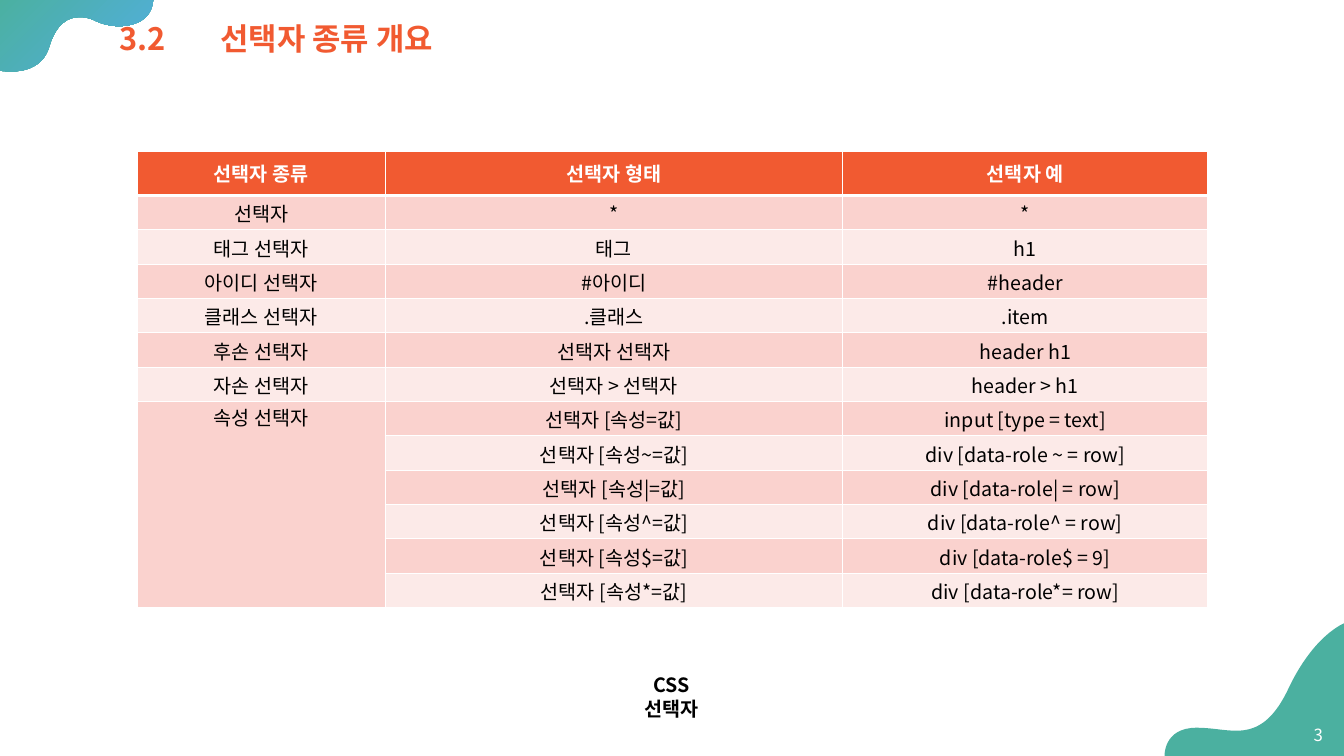
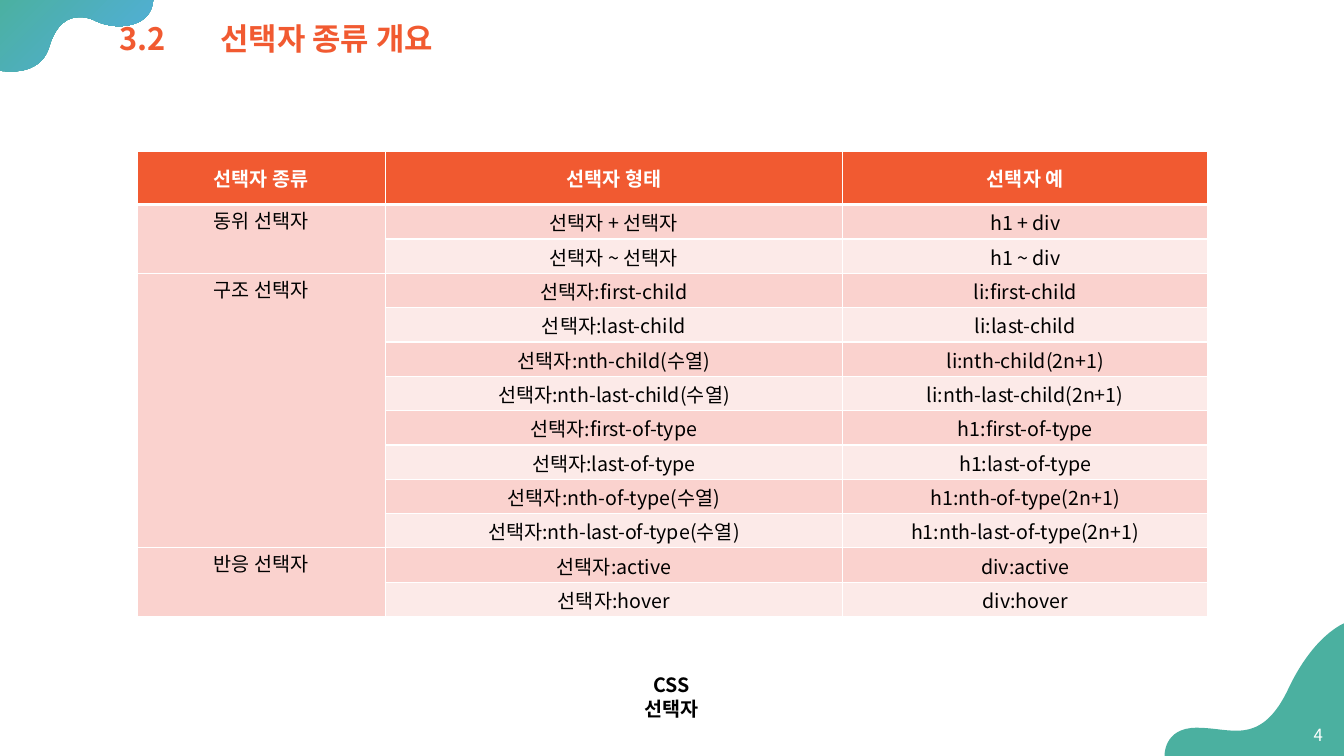
from lxml import etree
from pptx import Presentation
from pptx.dml.color import RGBColor
from pptx.enum.text import MSO_ANCHOR, PP_ALIGN
from pptx.oxml.ns import qn
from pptx.util import Inches, Pt

LEFT, CENTER, RIGHT = PP_ALIGN.LEFT, PP_ALIGN.CENTER, PP_ALIGN.RIGHT
TOP, MIDDLE = MSO_ANCHOR.TOP, MSO_ANCHOR.MIDDLE

ORANGE = RGBColor(0xF1, 0x5A, 0x31)
TEAL = RGBColor(0x4B, 0xB0, 0xA0)
SKY = RGBColor(0x52, 0xAE, 0xE1)
WHITE = RGBColor(0xFF, 0xFF, 0xFF)
BLACK = RGBColor(0, 0, 0)
STRIPES = (RGBColor(0xFA, 0xD2, 0xCE), RGBColor(0xFC, 0xEA, 0xE8))

FONT = "Noto Sans CJK KR"
BODY_MARGINS = (0.01, 0.01, 0.01, 0)
COLUMN_WIDTHS = (2.46, 4.54, 3.62)
BODY_HEIGHT = 4.09
HEADINGS = ("선택자 종류", "선택자 형태", "선택자 예")

CORNER_WAVE = (
    (1.53, 0), (0, 0), (0, 0.72),
    (0, 0.72, 0.05, 0.73, 0.12, 0.73),
    (0.25, 0.73, 0.44, 0.69, 0.5, 0.48),
    (0.57, 0.25, 0.69, 0.19, 0.8, 0.19),
    (0.85, 0.19, 0.9, 0.2, 0.94, 0.22),
    (1.02, 0.26, 1.11, 0.28, 1.19, 0.28),
    (1.38, 0.28, 1.53, 0.19, 1.53, 0),
)
FOOTER_WAVE = (
    (1.79, 0),
    (1.79, 0, 1.48, 0.11, 1.22, 0.67),
    (1.06, 1, 0.89, 1.07, 0.71, 1.07),
    (0.59, 1.07, 0.46, 1.04, 0.32, 1.04),
    (-0.02, 1.04, 0, 1.33, 0, 1.33),
    (1.79, 1.33), (1.79, 0),
)

BASIC_SELECTORS = (
    ("선택자", [("*", "*")]),
    ("태그 선택자", [("태그", "h1")]),
    ("아이디 선택자", [("#아이디", "#header")]),
    ("클래스 선택자", [(".클래스", ".item")]),
    ("후손 선택자", [("선택자 선택자", "header h1")]),
    ("자손 선택자", [("선택자 > 선택자", "header > h1")]),
    ("속성 선택자", [
        ("선택자 [속성=값]", "input [type = text]"),
        ("선택자 [속성~=값]", "div [data-role ~ = row]"),
        ("선택자 [속성|=값]", "div [data-role| = row]"),
        ("선택자 [속성^=값]", "div [data-role^ = row]"),
        ("선택자 [속성$=값]", "div [data-role$ = 9]"),
        ("선택자 [속성*=값]", "div [data-role*= row]"),
    ]),
)
RELATION_SELECTORS = (
    ("동위 선택자", [("선택자 + 선택자", "h1 + div"), ("선택자 ~ 선택자", "h1 ~ div")]),
    ("구조 선택자", [
        ("선택자:first-child", "li:first-child"),
        ("선택자:last-child", "li:last-child"),
        ("선택자:nth-child(수열)", "li:nth-child(2n+1)"),
        ("선택자:nth-last-child(수열)", "li:nth-last-child(2n+1)"),
        ("선택자:first-of-type", "h1:first-of-type"),
        ("선택자:last-of-type", "h1:last-of-type"),
        ("선택자:nth-of-type(수열)", "h1:nth-of-type(2n+1)"),
        ("선택자:nth-last-of-type(수열)", "h1:nth-last-of-type(2n+1)"),
    ]),
    ("반응 선택자", [("선택자:active", "div:active"), ("선택자:hover", "div:hover")]),
)


def write(frame, text, size=14, color=BLACK, bold=False, align=CENTER,
          spacing=None, tab=None):
    para = frame.paragraphs[0]
    para.alignment = align
    if spacing:
        para.line_spacing = spacing
    if tab:
        stops = etree.SubElement(para._p.get_or_add_pPr(), qn("a:tabLst"))
        etree.SubElement(stops, qn("a:tab"), pos=str(Inches(tab)), algn="l")
    span = para.add_run()
    span.text = text
    font = span.font
    font.size, font.bold, font.name = Pt(size), bold, FONT
    font.color.rgb = color
    etree.SubElement(font._element, qn("a:ea"), typeface=FONT)


def add_text(page, box, text, anchor=MIDDLE, **style):
    frame = page.shapes.add_textbox(*map(Inches, box)).text_frame
    frame.word_wrap = True
    frame.vertical_anchor = anchor
    write(frame, text, **style)


def add_wave(page, left, top, outline):
    corners = [(Inches(left + segment[-2]), Inches(top + segment[-1])) for segment in outline]
    builder = page.shapes.build_freeform(*corners[0])
    builder.add_line_segments(corners[1:], close=True)
    wave = builder.convert_to_shape()
    lines = list(wave._element.iter(qn("a:lnTo")))
    for line, segment in zip(lines, outline[1:]):
        if len(segment) == 6:
            line.tag = qn("a:cubicBezTo")
            controls = [
                etree.Element(qn("a:pt"), x=str(Inches(x)), y=str(Inches(y)))
                for x, y in (segment[:2], segment[2:4])
            ]
            line[:0] = controls
    wave.shadow.inherit = False
    wave.line.fill.background()
    return wave


def add_frame(page, number):
    corner = add_wave(page, -0.01, -0.02, CORNER_WAVE)
    corner.fill.gradient()
    corner.fill.gradient_angle = 315
    for stop, color, position in zip(corner.fill.gradient_stops, (TEAL, SKY), (0, 1)):
        stop.color.rgb = color
        stop.position = position
    footer = add_wave(page, 11.55, 6.18, FOOTER_WAVE)
    footer.fill.solid()
    footer.fill.fore_color.rgb = TEAL
    add_text(page, (1.09, 0.19, 12.24, 0.43), "3.2\t선택자 종류 개요",
             size=22, color=ORANGE, bold=True, align=LEFT, spacing=0.9, tab=1)
    add_text(page, (6.16, 6.63, 1, 0.58), "CSS 선택자", anchor=TOP, bold=True)
    add_text(page, (12.78, 7.09, 0.44, 0.4), str(number),
             size=12, color=WHITE, align=RIGHT)


def style_cell(cell, fill, top=1, bottom=1):
    properties = cell._tc.get_or_add_tcPr()
    for side, width in (("L", 1), ("R", 1), ("T", top), ("B", bottom)):
        line = etree.SubElement(properties, qn(f"a:ln{side}"), w=str(Pt(width)))
        paint = etree.SubElement(line, qn("a:solidFill"))
        etree.SubElement(paint, qn("a:srgbClr"), val=str(WHITE))
    cell.fill.solid()
    cell.fill.fore_color.rgb = fill
    cell.vertical_anchor = MIDDLE


def add_selector_table(page, left, top, header_height, groups):
    count = sum(len(entries) for _, entries in groups)
    box = (left, top, sum(COLUMN_WIDTHS), header_height + BODY_HEIGHT)
    table = page.shapes.add_table(count + 1, len(HEADINGS), *map(Inches, box)).table
    table.first_row = table.horz_banding = False
    for column, width in zip(table.columns, COLUMN_WIDTHS):
        column.width = Inches(width)
    for index, row in enumerate(table.rows):
        row.height = Inches(BODY_HEIGHT / count if index else header_height)
        for cell in row.cells:
            if index == 0:
                style_cell(cell, ORANGE, bottom=3)
                continue
            style_cell(cell, STRIPES[(index - 1) % 2], top=3 if index == 1 else 1)
            (cell.margin_left, cell.margin_top,
             cell.margin_right, cell.margin_bottom) = map(Inches, BODY_MARGINS)
    for column, heading in enumerate(HEADINGS):
        write(table.cell(0, column).text_frame, heading, color=WHITE, bold=True)
    first = 1
    for kind, entries in groups:
        label = table.cell(first, 0)
        if len(entries) > 1:
            label.merge(table.cell(first + len(entries) - 1, 0))
            label.vertical_anchor = TOP
        write(label.text_frame, kind)
        for index, entry in enumerate(entries, first):
            for column, text in enumerate(entry, 1):
                write(table.cell(index, column).text_frame, text)
        first += len(entries)


def main():
    deck = Presentation()
    deck.slide_width, deck.slide_height = Inches(13.33), Inches(7.5)
    slides = ((3, 0.44, BASIC_SELECTORS), (4, 0.53, RELATION_SELECTORS))
    for number, header_height, groups in slides:
        page = deck.slides.add_slide(deck.slide_layouts[6])
        add_frame(page, number)
        add_selector_table(page, 1.36, 1.5, header_height, groups)
    deck.save("out.pptx")


if __name__ == "__main__":
    main()
